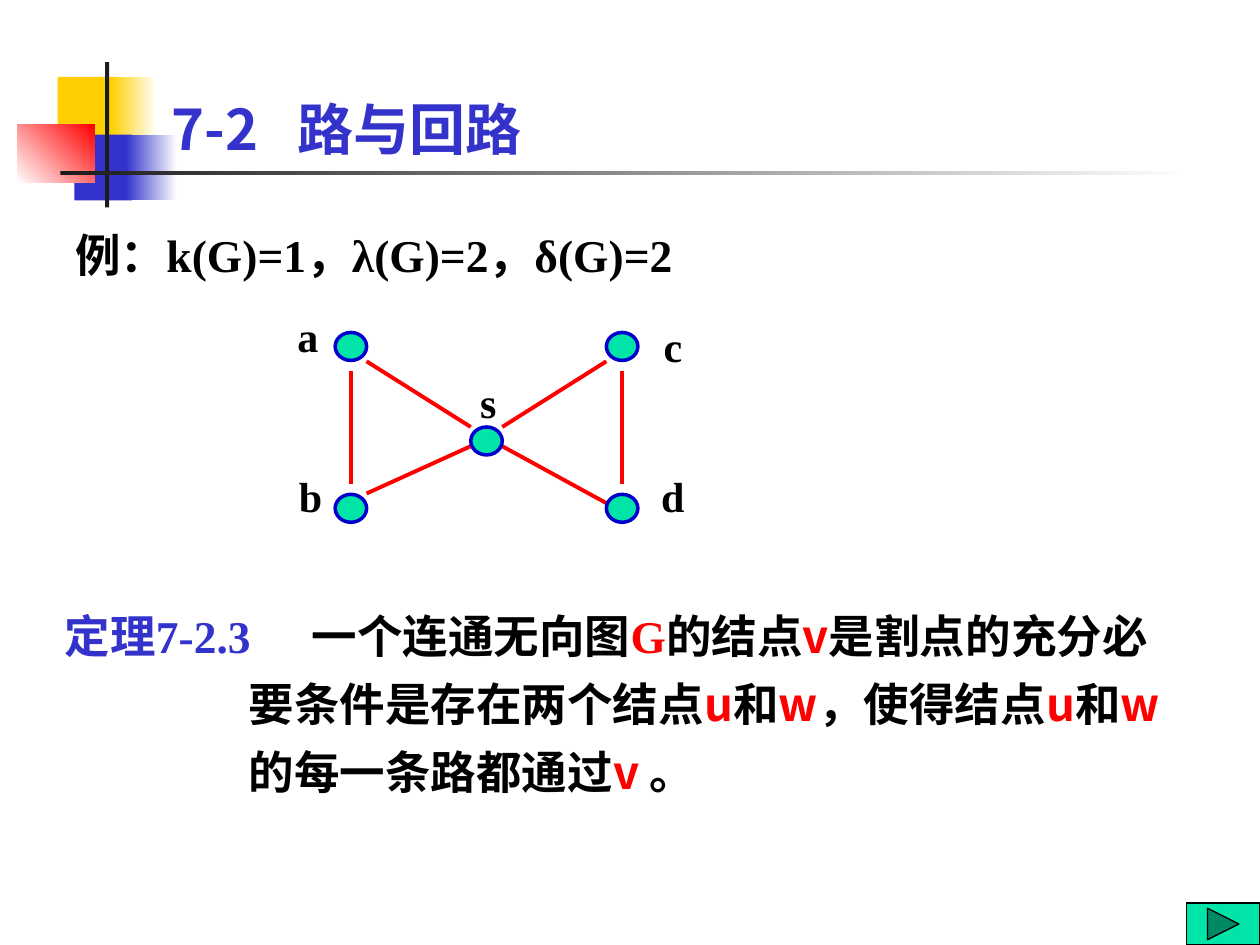
from lxml.etree import SubElement
from pptx import Presentation
from pptx.dml.color import RGBColor
from pptx.enum.shapes import MSO_CONNECTOR, MSO_SHAPE
from pptx.enum.text import MSO_ANCHOR, MSO_AUTO_SIZE, PP_ALIGN
from pptx.oxml.ns import qn
from pptx.util import Pt

BLACK = RGBColor(0x00, 0x00, 0x00)
WHITE = RGBColor(0xFF, 0xFF, 0xFF)
CHARCOAL = RGBColor(0x1C, 0x1C, 0x1C)
YELLOW = RGBColor(0xFF, 0xCF, 0x01)
BLUE = RGBColor(0x33, 0x33, 0xCC)
NODE_BLUE = RGBColor(0x00, 0x00, 0xCC)
RED = RGBColor(0xFF, 0x00, 0x00)
GREEN = RGBColor(0x00, 0xE4, 0xA8)

SERIF = "Times New Roman"
SANS = "Noto Sans CJK SC"

DECORATION = [
    ((33, 44, 34.5, 37.5), [YELLOW], 0),
    ((63.5, 44, 26, 37.5), [YELLOW, WHITE], 0),
    ((42.5, 77, 33, 37.5), [BLUE], 0),
    ((72, 77, 29, 37.5), [BLUE, WHITE], 0),
    ((10, 71, 44, 33.5), [WHITE, RED], 45),
    ((60, 35.5, 2.4, 83), [CHARCOAL], 0),
    ((34.5, 97.8, 648, 2.4), [CHARCOAL, WHITE], 0),
]

NODE_WIDTH, NODE_HEIGHT = 18, 16
NODES = {
    "a": (200.5, 198),
    "b": (200.5, 290.5),
    "c": (355.5, 198),
    "d": (355.5, 290.5),
    "s": (278, 252),
}
LABELS = {
    "a": (156, 174),
    "b": (157.5, 265.5),
    "c": (364.5, 179.5),
    "d": (364.5, 265.5),
    "s": (259, 211.5),
}
EDGES = [
    ("a", (0, 14), "b", (0, -14)),
    ("c", (0, 14), "d", (0, -14)),
    ("a", (9, 8.5), "s", (-9, -8)),
    ("c", (-9, 8.5), "s", (9, -8)),
    ("b", (9, -8.5), "s", (-9, 3)),
    ("d", (-9, -3), "s", (9, 3)),
]

THEOREM = [
    ("定理7-2.3\t", BLUE, SERIF),
    ("一个连通无向图", BLACK, SERIF),
    ("G", RED, SERIF),
    ("的结点", BLACK, SERIF),
    ("v", RED, SANS),
    ("是割点的充分必要条件是存在两个结点", BLACK, SERIF),
    ("u", RED, SANS),
    ("和", BLACK, SERIF),
    ("w", RED, SANS),
    ("，使得结点", BLACK, SERIF),
    ("u", RED, SANS),
    ("和", BLACK, SERIF),
    ("w", RED, SANS),
    ("的每一条路都通过", BLACK, SERIF),
    ("v ", RED, SANS),
    ("。", BLACK, SERIF),
]


def apply_format(target, values):
    """Set each named attribute of the target."""
    for name, value in values.items():
        setattr(target, name, value)


def points(values):
    """Turn numbers into lengths in points."""
    return [Pt(value) for value in values]


def write_spans(para, spans, size):
    """Add bold runs given as text, colour and font."""
    for text, color, font in spans:
        span = para.add_run()
        span.text = text
        apply_format(span.font, {"name": font, "size": Pt(size), "bold": True})
        span.font.color.rgb = color
        SubElement(span.font._element, qn("a:ea"), typeface=SANS)


def add_text(page, area, spans, size, align=PP_ALIGN.LEFT):
    """Add a wrapping text box and return its paragraph."""
    box = page.shapes.add_textbox(*points(area))
    box.text_frame.word_wrap = True
    para = box.text_frame.paragraphs[0]
    para.alignment = align
    write_spans(para, spans, size)
    return para


def add_filled_shape(page, kind, area, colors, angle=0, line=None):
    """Add a preset shape with a solid or two-colour gradient fill."""
    shape = page.shapes.add_shape(kind, *points(area))
    shape.shadow.inherit = False
    if len(colors) == 1:
        shape.fill.solid()
        shape.fill.fore_color.rgb = colors[0]
    else:
        shape.fill.gradient()
        shape.fill.gradient_angle = angle
        for stop, color in zip(shape.fill.gradient_stops, colors):
            stop.color.rgb = color
    if line:
        shape.line.color.rgb, shape.line.width = line
    else:
        shape.line.fill.background()


def add_edge(page, start, start_shift, end, end_shift):
    """Connect two graph nodes at shifted end points."""
    ends = [
        center + shift
        for node, shifts in ((start, start_shift), (end, end_shift))
        for center, shift in zip(NODES[node], shifts)
    ]
    edge = page.shapes.add_connector(MSO_CONNECTOR.STRAIGHT, *points(ends))
    edge.line.color.rgb = RED
    edge.line.width = Pt(2.25)
    SubElement(edge._element.spPr, qn("a:effectLst"))


def add_graph(page):
    """Draw the edges, nodes and labels of the graph."""
    for edge in EDGES:
        add_edge(page, *edge)
    for name, (x, y) in NODES.items():
        area = (x - NODE_WIDTH / 2, y - NODE_HEIGHT / 2, NODE_WIDTH, NODE_HEIGHT)
        add_filled_shape(page, MSO_SHAPE.OVAL, area, [GREEN], line=(NODE_BLUE, Pt(2)))
        add_text(page, (*LABELS[name], 40, 36), [(name, BLACK, SERIF)], 24, PP_ALIGN.CENTER)


def add_title(page):
    """Place and format the title in front of the decoration."""
    title = page.shapes.title
    page.shapes._spTree.append(title._element)
    apply_format(title, dict(zip(("left", "top", "width", "height"), points((91, 6, 613, 90)))))
    frame = title.text_frame
    apply_format(frame, {"vertical_anchor": MSO_ANCHOR.BOTTOM, "auto_size": MSO_AUTO_SIZE.NONE, "word_wrap": True})
    frame.paragraphs[0].alignment = PP_ALIGN.LEFT
    write_spans(frame.paragraphs[0], [("7-2\t路与回路", BLUE, SANS)], 32)


def add_theorem(page):
    """Add the theorem with a hanging indent and a tab after its number."""
    para = add_text(page, (30, 336, 642, 126), THEOREM, 26)
    para.line_spacing = 1.25
    props = para._p.get_or_add_pPr()
    props.set("marL", str(Pt(105)))
    props.set("indent", str(-Pt(105)))
    tabs = SubElement(props, qn("a:tabLst"))
    SubElement(tabs, qn("a:tab"), pos=str(Pt(137.5)), algn="l")


def main():
    """Build and save the slide."""
    deck = Presentation()
    apply_format(deck, {"slide_width": Pt(720), "slide_height": Pt(540)})
    page = deck.slides.add_slide(deck.slide_layouts[5])
    for area, colors, angle in DECORATION:
        add_filled_shape(page, MSO_SHAPE.RECTANGLE, area, colors, angle)
    add_title(page)
    add_text(page, (36, 126, 612, 48), [("例：k(G)=1，λ(G)=2，δ(G)=2", BLACK, SERIF)], 26)
    add_graph(page)
    add_theorem(page)
    add_filled_shape(page, MSO_SHAPE.ACTION_BUTTON_FORWARD_OR_NEXT, (678, 516, 42, 24), [GREEN], line=(BLACK, Pt(0.75)))
    deck.save("out.pptx")


if __name__ == "__main__":
    main()
